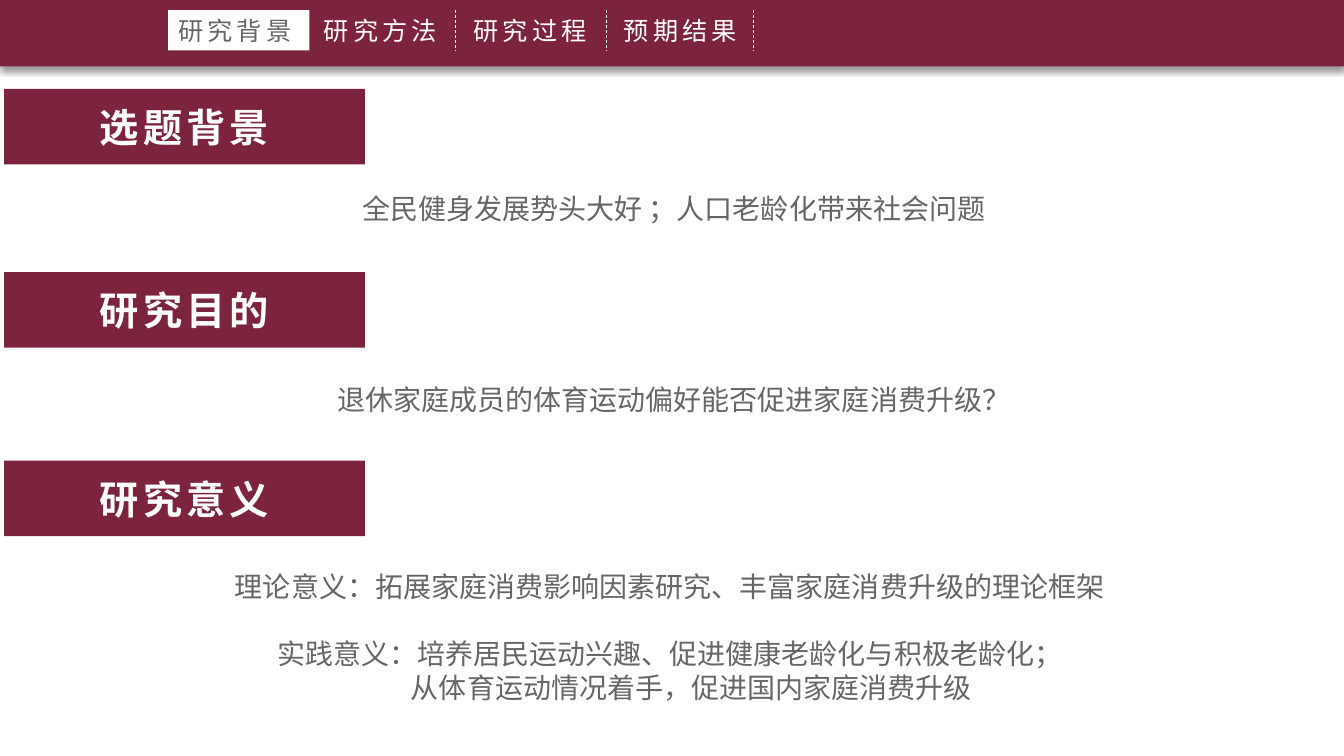
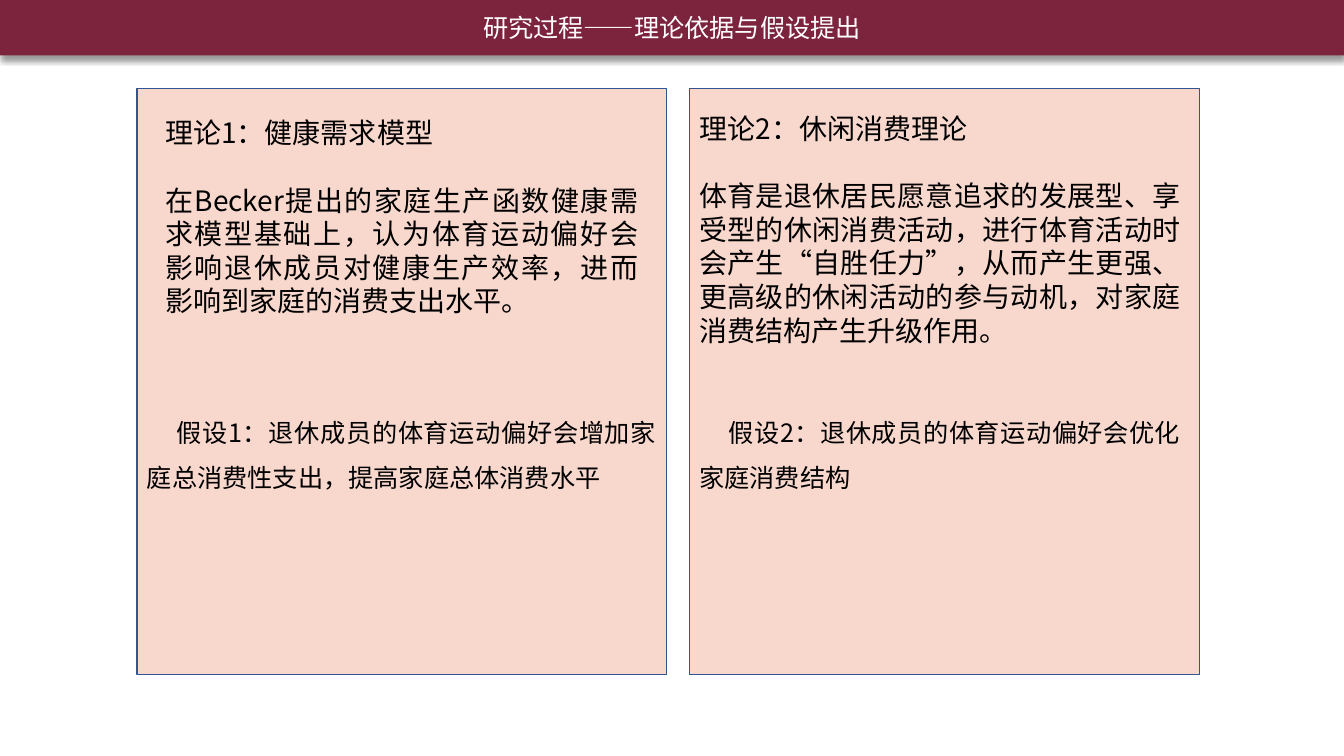
from lxml.etree import SubElement
from pptx import Presentation
from pptx.dml.color import RGBColor
from pptx.enum.dml import MSO_LINE
from pptx.enum.shapes import MSO_CONNECTOR, MSO_SHAPE
from pptx.enum.text import MSO_ANCHOR, PP_ALIGN as Align
from pptx.oxml.ns import qn
from pptx.util import Pt

FONT = "Noto Sans CJK SC"
WINE, WHITE, GREY, BLACK = "7C233E", "FFFFFF", "666666", "000000"
BLUSH, BLUE = "F8D7CD", "325491"
WIDTH, HEIGHT = 960, 540
BLANK_LINE = 24

TAB_TOP, TAB_HEIGHT = 7.2, 28.8
TABS = [  # text, left, width, fill, colour, alignment
    ("研究背景", 120.2, 100.8, WHITE, GREY, Align.LEFT),
    ("研究方法", 222.5, 98.6, None, WHITE, Align.CENTER),
    ("研究过程", 331.2, 102.2, None, WHITE, Align.LEFT),
    ("预期结果", 438.5, 102.2, None, WHITE, Align.LEFT),
]
SEPARATORS = [325.4, 433.4, 537.8]

SECTIONS = [  # heading, top, body top, body paragraphs
    ("选题背景", 63.4, 133.2, ["全民健身发展势头大好 ；人口老龄化带来社会问题"]),
    ("研究目的", 194.4, 270, ["退休家庭成员的体育运动偏好能否促进家庭消费升级？"]),
    ("研究意义", 329, 403.2, [
        "理论意义：拓展家庭消费影响因素研究、丰富家庭消费升级的理论框架",
        "实践意义：培养居民运动兴趣、促进健康老龄化与积极老龄化；",
        "从体育运动情况着手，促进国内家庭消费升级",
    ]),
]

PROCESS_TITLE = "研究过程——理论依据与假设提出"
CARD_TOP, CARD_HEIGHT, HYPOTHESIS_TOP = 63.4, 418.3, 283.7
CARDS = [
    {
        "card": (97.9, 378), "theory_box": (110.9, 79.2, 352.1),
        "title_spacing": 1, "hypothesis_width": 378,
        "theory": ["理论1：健康需求模型",
                   "在Becker提出的家庭生产函数健康需求模型基础上，认为体育运动偏好会"
                   "影响退休成员对健康生产效率，进而影响到家庭的消费支出水平。"],
        "hypothesis": "假设1：退休成员的体育运动偏好会增加家庭总消费性支出，提高家庭总体消费水平",
    },
    {
        "card": (492.5, 364.3), "theory_box": (492.5, 64.1, 357.8),
        "title_spacing": 1.5, "hypothesis_width": 357.8,
        "theory": ["理论2：休闲消费理论",
                   "体育是退休居民愿意追求的发展型、享受型的休闲消费活动，进行体育活动时"
                   "会产生“自胜任力”，从而产生更强、更高级的休闲活动的参与动机，"
                   "对家庭消费结构产生升级作用。"],
        "hypothesis": "假设2：退休成员的体育运动偏好会优化家庭消费结构",
    },
]


def rgb(value):
    return RGBColor.from_string(value)


def write(box, texts, size, color, align, bold=False, tracking=0, anchor=MSO_ANCHOR.TOP):
    """Fill a shape with styled paragraphs and return them."""
    frame = box.text_frame
    frame.word_wrap = True
    frame.vertical_anchor = anchor
    frame.text = "\n".join(texts)
    for para in frame.paragraphs:
        para.alignment = align
        for span in para.runs:
            font = span.font
            font.name, font.size, font.bold = FONT, Pt(size), bold
            font.color.rgb = rgb(color)
            properties = span._r.get_or_add_rPr()
            SubElement(properties, qn("a:ea")).set("typeface", FONT)
            if tracking:
                properties.set("spc", str(tracking * 100))
    return frame.paragraphs


def add_text(slide, left, top, width, height, *args, **style):
    box = slide.shapes.add_textbox(Pt(left), Pt(top), Pt(width), Pt(height))
    return write(box, *args, **style)


def add_rectangle(slide, left, top, width, height, fill, line=None):
    box = slide.shapes.add_shape(MSO_SHAPE.RECTANGLE, Pt(left), Pt(top), Pt(width), Pt(height))
    box.shadow.inherit = False
    box.fill.solid()
    box.fill.fore_color.rgb = rgb(fill)
    if line:
        box.line.color.rgb = rgb(line)
        box.line.width = Pt(1)
    else:
        box.line.fill.background()
    return box


def add_band(slide, height):
    """Add the full-width top band with its soft shadow."""
    band = add_rectangle(slide, 0, 0, WIDTH, height, WINE)
    effects = band._element.spPr.find(qn("a:effectLst"))
    shadow = SubElement(effects, qn("a:outerShdw"), blurRad=str(Pt(4)), dist=str(Pt(3)),
                        dir="5400000", algn="t", rotWithShape="0")
    tint = SubElement(shadow, qn("a:srgbClr"), val=BLACK)
    SubElement(tint, qn("a:alpha"), val="40000")
    return band


def add_separator(slide, left):
    line = slide.shapes.add_connector(MSO_CONNECTOR.STRAIGHT, Pt(left), Pt(TAB_TOP),
                                      Pt(left), Pt(TAB_TOP + TAB_HEIGHT))
    line.line.color.rgb = rgb(WHITE)
    line.line.width = Pt(0.5)
    line.line.dash_style = MSO_LINE.DASH
    SubElement(line._element.spPr, qn("a:effectLst"))


def build_background_slide(slide):
    add_band(slide, 47.5)
    for text, left, width, fill, color, align in TABS:
        place = (left, TAB_TOP, width, TAB_HEIGHT)
        if fill:
            write(add_rectangle(slide, *place, fill), [text], 18, color, align, tracking=3)
        else:
            add_text(slide, *place, [text], 18, color, align, tracking=3)
    for left in SEPARATORS:
        add_separator(slide, left)

    for heading, top, body_top, texts in SECTIONS:
        label = add_rectangle(slide, 2.9, top, 257.8, 54, WINE)
        write(label, [heading], 28, WHITE, Align.CENTER, bold=True, tracking=3,
              anchor=MSO_ANCHOR.MIDDLE)
        left = 0 if len(texts) > 1 else 2.9
        paras = add_text(slide, left, body_top, 956.9, 7.2 + 24 * len(texts),
                         texts, 20, GREY, Align.CENTER)
        if len(paras) > 1:
            paras[1].space_before = Pt(BLANK_LINE)
            paras[2]._p.get_or_add_pPr().set("marL", str(Pt(31)))


def build_process_slide(slide):
    title = add_band(slide, 39.6)
    write(title, [PROCESS_TITLE], 18, WHITE, Align.CENTER, anchor=MSO_ANCHOR.MIDDLE)
    for item in CARDS:
        left, width = item["card"]
        add_rectangle(slide, left, CARD_TOP, width, CARD_HEIGHT, BLUSH, BLUE)
        name, body = add_text(slide, *item["theory_box"], 170, item["theory"],
                              20, BLACK, Align.JUSTIFY)
        name.line_spacing = item["title_spacing"]
        body.space_before = Pt(BLANK_LINE)
        (hypothesis,) = add_text(slide, left, HYPOTHESIS_TOP, item["hypothesis_width"], 104,
                                 [item["hypothesis"]], 18, BLACK, Align.JUSTIFY)
        hypothesis.line_spacing = 1.5
        hypothesis._p.get_or_add_pPr().set("indent", str(Pt(21)))


def main():
    deck = Presentation()
    deck.slide_width, deck.slide_height = Pt(WIDTH), Pt(HEIGHT)
    for build in (build_background_slide, build_process_slide):
        build(deck.slides.add_slide(deck.slide_layouts[6]))
    deck.save("out.pptx")


if __name__ == "__main__":
    main()
